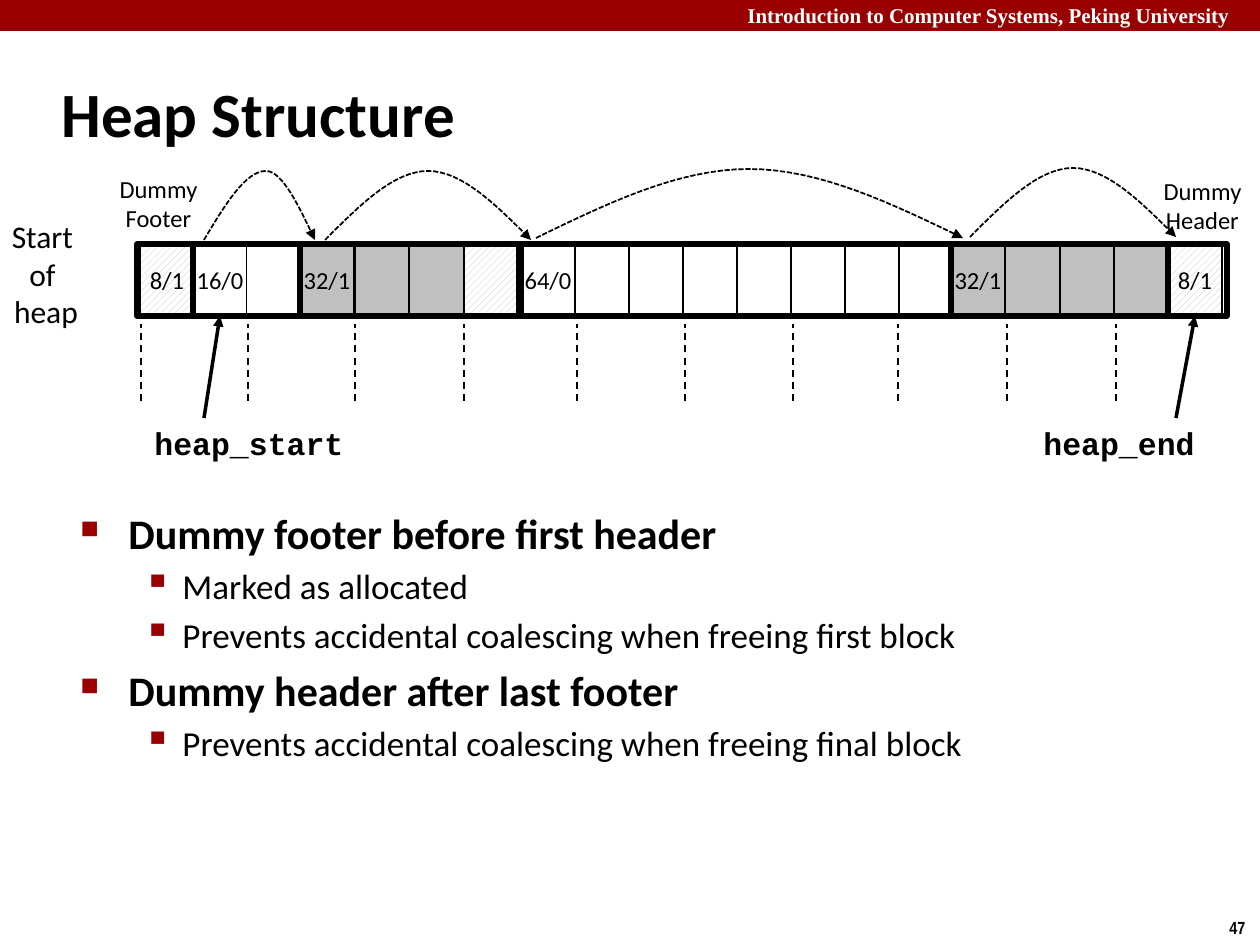
"""Build the heap structure slide: a block diagram above its notes."""
import dataclasses

import pptx
import pptx.dml.color
import pptx.enum.dml
import pptx.enum.shapes
import pptx.enum.text
import pptx.oxml
import pptx.oxml.ns
import pptx.util

DASH = pptx.enum.dml.MSO_LINE
ALIGN = pptx.enum.text.PP_ALIGN
ANCHOR = pptx.enum.text.MSO_ANCHOR
RECT = pptx.enum.shapes.MSO_SHAPE.RECTANGLE
NS = 'xmlns:a="http://schemas.openxmlformats.org/drawingml/2006/main"'


def color(code):
    return pptx.dml.color.RGBColor.from_string(code)


@dataclasses.dataclass(frozen=True)
class Theme:
    red = color("990000")
    black = color("000000")
    white = color("FFFFFF")
    gray = color("C0C0C0")
    sans = "Calibri"
    mono = "Courier New"
    serif = "Times New Roman"
    narrow = "Arial Narrow"
    title = 36
    head = 24
    item = 20
    label = 18
    small = 14
    bar = 12
    page = 10


BLOCKS = [
    (137, 57, 3, "8/1", "h"),
    (193, 107, 0, "16/0", "ww"),
    (300, 219, 0, "32/1", "gggh"),
    (521, 432, 0, "64/0", "wwwwwwww"),
    (951, 218, 0, "32/1", "gggg"),
    (1168, 59, 0, "8/1", "h"),
]
TOP, HIGH, CELL = 244, 72, 54
ARCS = [
    (204, 266, 315, 240, 171),
    (325, 428, 531, 240, 171),
    (536, 749, 963, 238, 169),
    (970, 1073, 1176, 237, 168),
]
TICKS = [141, 248, 355, 464, 577, 685, 793, 898, 1007, 1116]
NAMES = [("heap_start", 142, 215, 204, 1), ("heap_end", 1031, 178, 1176, 5)]
LABELS = [
    (["Start ", "of ", "heap"], (-1, 210, 94, 127), Theme.label),
    (["Dummy", "Footer"], (107, 167, 103, 72), Theme.small),
    (["Dummy", "Header"], (1151, 169, 103, 72), Theme.small),
]
NOTES = [
    (0, "Dummy footer before first header"),
    (1, "Marked as allocated"),
    (1, "Prevents accidental coalescing when freeing first block"),
    (0, "Dummy header after last footer"),
    (1, "Prevents accidental coalescing when freeing final block"),
]
LEVELS = [
    ("■", 60, 0.38, 0.38, Theme.head, True),
    ("▪", 110, 0.81, 0.31, Theme.item, False),
]


def px(count):
    return pptx.util.Emu(round(count * 914400 / 126))


def style(para, size, face=Theme.sans, bold=False, tint=Theme.black):
    for run in para.runs:
        font = run.font
        font.size = pptx.util.Pt(size)
        font.name = face
        font.bold = bold
        font.color.rgb = tint


def write(slide, lines, box, size, face=Theme.sans, bold=False,
          tint=Theme.black, align=ALIGN.LEFT, anchor=ANCHOR.TOP, wrap=False):
    frame = slide.shapes.add_textbox(*map(px, box)).text_frame
    frame.word_wrap = wrap
    frame.vertical_anchor = anchor
    frame.text = "\n".join(lines)
    for para in frame.paragraphs:
        para.alignment = align
        style(para, size, face, bold, tint)
    return frame


def stroke(shape, width, dash=None, arrow=False):
    shape.line.color.rgb = Theme.black
    shape.line.width = pptx.util.Pt(width)
    if dash:
        shape.line.dash_style = dash
    if arrow:
        line = shape.element.spPr.find(pptx.oxml.ns.qn("a:ln"))
        line.append(pptx.oxml.parse_xml(f'<a:tailEnd {NS} type="triangle"/>'))


def rect(slide, left, width, kind=None, weight=1):
    shape = slide.shapes.add_shape(RECT, *map(px, (left, TOP, width, HIGH)))
    shape.shadow.inherit = False
    stroke(shape, weight)
    if kind is None:
        shape.fill.background()
    elif kind == "h":
        shape.fill.patterned()
        shape.fill.pattern = pptx.enum.dml.MSO_PATTERN.WIDE_UPWARD_DIAGONAL
        shape.fill.fore_color.rgb = Theme.gray
        shape.fill.back_color.rgb = Theme.white
    else:
        shape.fill.solid()
        shape.fill.fore_color.rgb = Theme.gray if kind == "g" else Theme.white
    return shape


def block(slide, left, width, inset, text, kinds):
    pitch = width / len(kinds)
    cells = [rect(slide, left + inset + i * pitch, CELL, kind)
             for i, kind in enumerate(kinds)]
    frame = cells[0].text_frame
    frame.word_wrap = False
    frame.vertical_anchor = ANCHOR.MIDDLE
    frame.text = text
    frame.paragraphs[0].alignment = ALIGN.CENTER
    style(frame.paragraphs[0], Theme.small)
    rect(slide, left, width, weight=3)
    return cells[0]


def arc(slide, start, peak, end, base, top):
    points = []
    for step in range(-16, 17):
        side = step / 16
        part = 1 - abs(side)
        across = peak + side * (peak - start if side < 0 else end - peak)
        rise = 1.5 * part - 0.5 * part ** 3
        points.append((px(across), px(base - (base - top) * rise)))
    maker = slide.shapes.build_freeform(*points[0])
    maker.add_line_segments(points[1:], close=False)
    shape = maker.convert_to_shape()
    shape.shadow.inherit = False
    shape.fill.background()
    stroke(shape, 1, DASH.SQUARE_DOT, True)


def link(slide, ends, width, dash=None, cell=None):
    kind = pptx.enum.shapes.MSO_CONNECTOR.STRAIGHT
    line = slide.shapes.add_connector(kind, *map(px, ends))
    if cell is not None:
        line.end_connect(cell, 2)
    stroke(line, width, dash, cell is not None)
    line.element.spPr.append(pptx.oxml.parse_xml(f"<a:effectLst {NS}/>"))


def notes(slide):
    frame = write(slide, [text for _, text in NOTES], (68, 501, 1089, 232),
                  Theme.item, wrap=True)
    for i, (para, (level, _)) in enumerate(zip(frame.paragraphs, NOTES)):
        mark, scale, left, hang, size, bold = LEVELS[level]
        props = para._p.get_or_add_pPr()
        props.set("marL", str(pptx.util.Inches(left)))
        props.set("indent", str(-pptx.util.Inches(hang)))
        for tag in (f'<a:buClr {NS}><a:srgbClr val="{Theme.red}"/></a:buClr>',
                    f'<a:buSzPct {NS} val="{scale * 1000}"/>',
                    f'<a:buChar {NS} char="{mark}"/>'):
            props.append(pptx.oxml.parse_xml(tag))
        para.level = level
        para.space_before = pptx.util.Pt(size * 0.2 if i else 0)
        style(para, size, bold=bold)


def main():
    deck = pptx.Presentation()
    deck.slide_width, deck.slide_height = px(1260), px(945)
    slide = deck.slides.add_slide(deck.slide_layouts[6])
    bar = slide.shapes.add_shape(RECT, 0, 0, px(1260), px(31))
    bar.shadow.inherit = False
    bar.fill.solid()
    bar.fill.fore_color.rgb = Theme.red
    bar.line.fill.background()
    write(slide, ["Introduction to Computer Systems, Peking University"],
          (735, -4, 534, 38), Theme.bar, Theme.serif, True, Theme.white,
          wrap=True)
    write(slide, ["47"], (1217, 911, 43, 34), Theme.page, Theme.narrow, True)
    write(slide, ["Heap Structure"], (49, 60, 1046, 105), Theme.title,
          bold=True, anchor=ANCHOR.MIDDLE, wrap=True)
    notes(slide)
    heads = [block(slide, *item) for item in BLOCKS]
    for item in ARCS:
        arc(slide, *item)
    for tick in TICKS:
        link(slide, (tick, 401, tick, 324), 1, DASH.DASH)
    for lines, box, size in LABELS:
        write(slide, lines, box, size, align=ALIGN.CENTER,
              anchor=ANCHOR.MIDDLE)
    for name, left, width, foot, index in NAMES:
        link(slide, (foot, 418, foot, 318), 2, cell=heads[index])
        write(slide, [name], (left, 418, width, 50), Theme.label,
              Theme.mono, True)
    deck.save("out.pptx")


if __name__ == "__main__":
    main()
